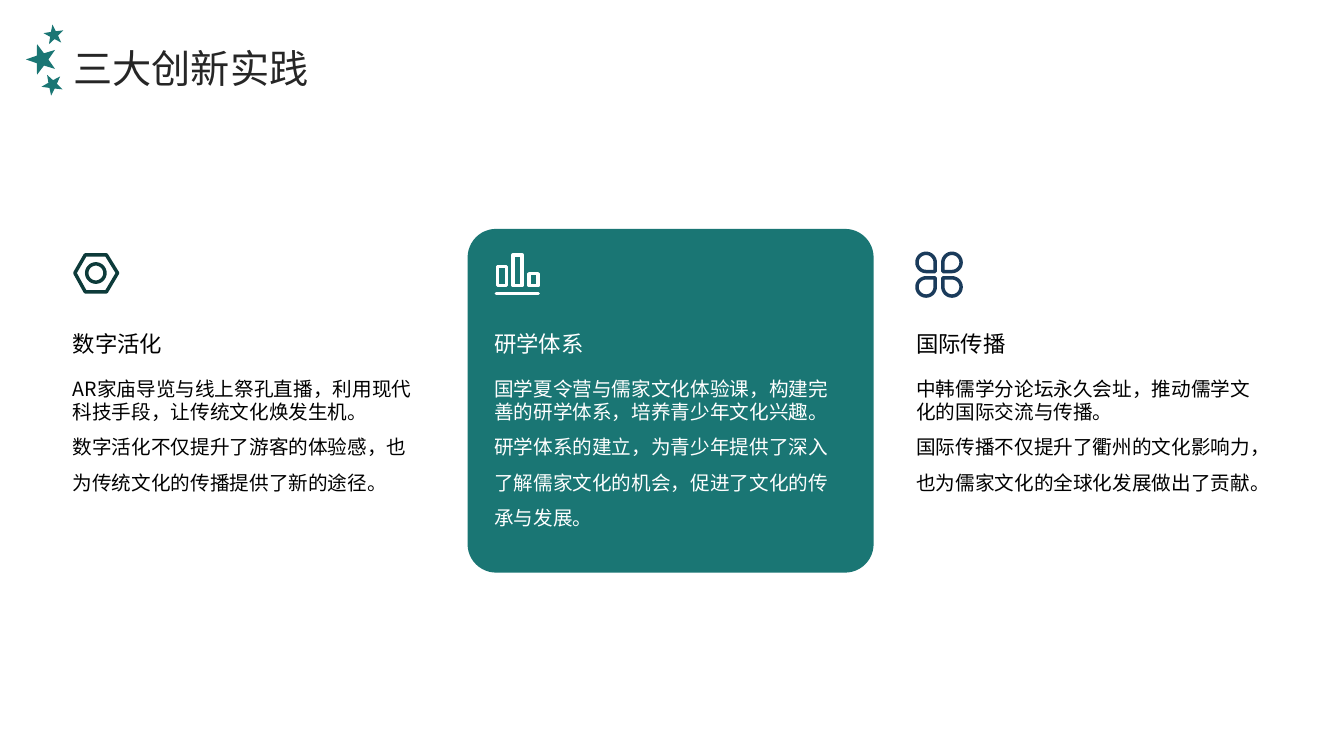
from math import cos, radians, sin, sqrt
from lxml.etree import SubElement
from pptx import Presentation
from pptx.dml.color import RGBColor
from pptx.enum.shapes import MSO_SHAPE
from pptx.enum.text import MSO_ANCHOR
from pptx.oxml.ns import qn
from pptx.util import Pt

PX = 6350
FONT = "Noto Sans CJK SC"
COLORS = {
    "teal": "1A7674",
    "dark": "0D3B3A",
    "navy": "1A3B5B",
    "title": "262626",
    "black": "000000",
    "white": "FFFFFF",
}


def rgb(name):
    return RGBColor.from_string(COLORS[name])


def add_text(slide, box, paragraphs, size, color, anchor=MSO_ANCHOR.TOP):
    tf = slide.shapes.add_textbox(*(v * PX for v in box)).text_frame
    tf.word_wrap = True
    tf.vertical_anchor = anchor
    tf.margin_left = tf.margin_top = tf.margin_right = tf.margin_bottom = 0
    for i, (text, spacing) in enumerate(paragraphs):
        p = tf.add_paragraph() if i else tf.paragraphs[0]
        p.line_spacing = spacing
        r = p.add_run()
        r.text = text
        r.font.size = Pt(size)
        r.font.name = FONT
        r.font.color.rgb = rgb(color)
        SubElement(r.font._element, qn("a:ea"), typeface=FONT)


def paint(sp, color):
    sp.shadow.inherit = False
    sp.fill.solid()
    sp.fill.fore_color.rgb = rgb(color)
    sp.line.fill.background()


def stroke(sp, color):
    sp.shadow.inherit = False
    sp.fill.background()
    sp.line.color.rgb = rgb(color)
    sp.line.width = Pt(2.5)
    ln = sp.line._get_or_add_ln()
    ln.set("cap", "rnd")
    SubElement(ln, qn("a:round"))


def add_contours(slide, x, y, contours):
    builder = None
    for contour in contours:
        first, *rest = [(round((x + dx) * PX), round((y + dy) * PX)) for dx, dy in contour]
        if builder is None:
            builder = slide.shapes.build_freeform(*first)
        else:
            builder.move_to(*first)
        builder.add_line_segments(rest)
    return builder.convert_to_shape()


def polar(cx, cy, radius, angle):
    return cx + radius * cos(radians(angle)), cy + radius * sin(radians(angle))


def arc(cx, cy, radius, start, sweep):
    return [polar(cx, cy, radius, start + a) for a in range(0, sweep + 1, 10)]


def star(cx, cy, radius, tip):
    return [polar(cx, cy, radius * (0.4 if i % 2 else 1), tip + 36 * i) for i in range(10)]


def petal(cx, cy, radius, tip):
    return arc(cx, cy, radius, tip + 45, 270) + [polar(cx, cy, radius * sqrt(2), tip)]


def nut_icon(slide, x, y):
    hexagon = [(3, 29), (18, 3), (48, 3), (64, 29), (48, 56), (18, 56)]
    stroke(add_contours(slide, x, y, [hexagon, arc(33, 29, 13, 0, 360)]), "dark")


def chart_icon(slide, x, y):
    contours = [
        [(left, top), (left + 13, top), (left + 13, 47), (left, 47)]
        for left, top in ((5, 20), (27, 3), (50, 30))
    ]
    contours.append([(3, 58), (63, 58)])
    stroke(add_contours(slide, x, y, contours), "white")


def petal_icon(slide, x, y):
    petals = [(14, 14, 45), (51, 14, 135), (14, 49, -45), (51, 49, 225)]
    stroke(add_contours(slide, x, y, [petal(cx, cy, 13, tip) for cx, cy, tip in petals]), "navy")


def add_header(slide, x, y, w, h):
    add_text(slide, (x, y, w, h), [("三大创新实践", 1.3)], 28, "title")
    stars = [(-28, 7, 15, -98), (-45, 42, 23, 180), (-30, 78, 16, 97)]
    paint(add_contours(slide, x, y, [star(*s) for s in stars]), "teal")


def add_practice(slide, x, y, w, h, practice):
    heading, summary, detail, icon, featured = practice
    if featured:
        sp = slide.shapes.add_shape(
            MSO_SHAPE.ROUNDED_RECTANGLE, x * PX, y * PX, w * PX, h * PX)
        sp.adjustments[0] = 0.083
        paint(sp, "teal")
    color = "white" if featured else "black"
    left, width = x + 38, w - 75
    icon(slide, left, y + 34)
    add_text(slide, (left, y + 111, width, 93), [(heading, 1.3)], 16, color, MSO_ANCHOR.MIDDLE)
    add_text(slide, (left, y + 211, width, 233), [(summary, 1.0), (detail, 1.5)], 14, color)


PRACTICES = [
    ("数字活化",
     "AR家庙导览与线上祭孔直播，利用现代科技手段，让传统文化焕发生机。",
     "数字活化不仅提升了游客的体验感，也为传统文化的传播提供了新的途径。",
     nut_icon, False),
    ("研学体系",
     "国学夏令营与儒家文化体验课，构建完善的研学体系，培养青少年文化兴趣。",
     "研学体系的建立，为青少年提供了深入了解儒家文化的机会，促进了文化的传承与发展。",
     chart_icon, True),
    ("国际传播",
     "中韩儒学分论坛永久会址，推动儒学文化的国际交流与传播。",
     "国际传播不仅提升了衢州的文化影响力，也为儒家文化的全球化发展做出了贡献。",
     petal_icon, False),
]


def main():
    prs = Presentation()
    prs.slide_width, prs.slide_height = 1920 * PX, 1080 * PX
    slide = prs.slides.add_slide(prs.slide_layouts[6])
    for i, practice in enumerate(PRACTICES):
        add_practice(slide, 66 + 1205 * i // 2, 327, 580, 491, practice)
    add_header(slide, 105, 43, 1634, 85)
    prs.save("out.pptx")


if __name__ == "__main__":
    main()
